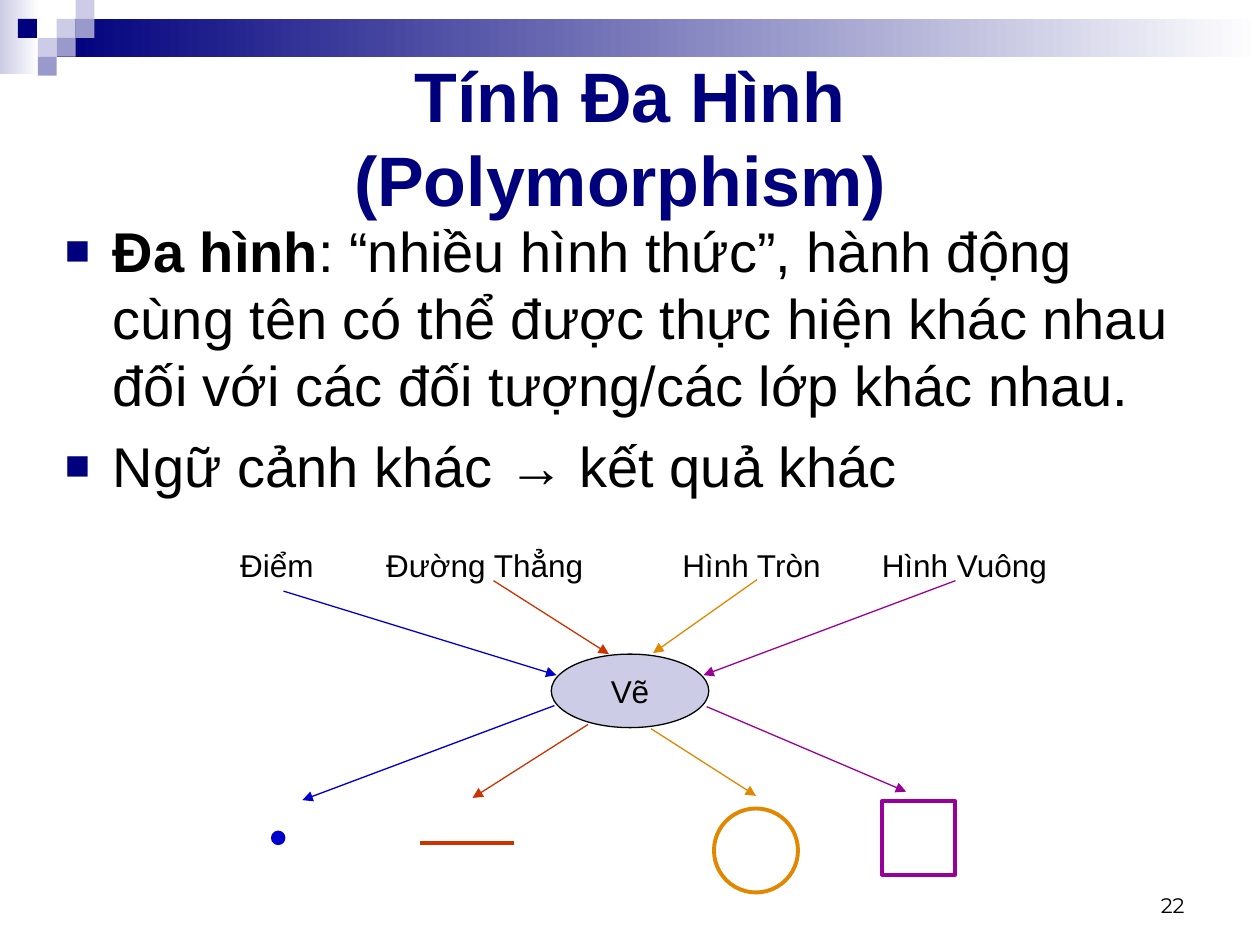
from lxml.etree import SubElement
from pptx import Presentation
from pptx.dml.color import RGBColor
from pptx.enum.shapes import MSO_CONNECTOR, MSO_SHAPE
from pptx.enum.text import MSO_ANCHOR, PP_ALIGN
from pptx.oxml.ns import qn
from pptx.util import Inches, Pt

COLORS = {
    "navy": "00007D", "mid": "9999CC", "pale": "CCCCE6", "white": "FFFFFF",
    "black": "000000", "blue": "0000CC", "red": "CC3300",
    "orange": "E28700", "purple": "990099",
}
COLS, ROWS = 120, 90
CELL = Inches(10) / COLS


def rgb(name):
    """Return the named palette colour."""
    return RGBColor.from_string(COLORS[name])


def cells(*values):
    """Turn grid cells into slide lengths."""
    return [round(v * CELL) for v in values]


def within(box, x, y):
    """Move a point from a box's own grid to the slide grid."""
    return box[0] + x, box[1] + y


def add_run(p, text, size, color="black", bold=False, font="Arial"):
    """Append one formatted run to a paragraph."""
    r = p.add_run()
    r.text = text
    r.font.name, r.font.size, r.font.bold = font, Pt(size), bold
    r.font.color.rgb = rgb(color)


def add_text(s, box, anchor=MSO_ANCHOR.TOP, align=PP_ALIGN.LEFT, wrap=True):
    """Add an empty text box and return its text frame."""
    tf = s.shapes.add_textbox(*cells(*box)).text_frame
    tf.word_wrap, tf.vertical_anchor = wrap, anchor
    tf.paragraphs[0].alignment = align
    return tf


def add_figure(s, kind, box, fill=None, line=None, width=2.25):
    """Add a flat preset shape with an optional fill and outline."""
    sp = s.shapes.add_shape(kind, *cells(*box))
    sp.shadow.inherit = False
    if fill:
        sp.fill.solid()
        sp.fill.fore_color.rgb = rgb(fill)
    else:
        sp.fill.background()
    if line:
        sp.line.color.rgb, sp.line.width = rgb(line), Pt(width)
    else:
        sp.line.fill.background()
    return sp


def add_line(s, start, end, color, width=0.75, arrow=True):
    """Add a straight line, with an arrowhead at its end if wanted."""
    ln = s.shapes.add_connector(MSO_CONNECTOR.STRAIGHT, *cells(*start, *end))
    ln.line.color.rgb, ln.line.width = rgb(color), Pt(width)
    if arrow:
        SubElement(ln.line._get_or_add_ln(), qn("a:tailEnd"), type="triangle")
    SubElement(ln._element.spPr, qn("a:effectLst"))


def add_header(s, box):
    """Draw the fading bars and the mosaic of tiles."""
    unit = box[3] / 4
    side = (*box[:2], 2.07 * unit, 3.9 * unit)
    bar = (*within(box, 3 * unit, unit), box[2] - 3 * unit, 2 * unit)
    for area, color in ((side, "pale"), (bar, "navy")):
        sp = add_figure(s, MSO_SHAPE.RECTANGLE, area)
        sp.fill.gradient()
        sp.fill.gradient_angle = 180
        for stop, name in zip(sp.fill.gradient_stops, ("white", color)):
            stop.color.rgb = rgb(name)
    tiles = [(3, 1, "pale"), (4, 0, "pale"), (4, 1, "mid"), (2, 2, "pale"),
             (0.95, 1, "navy"), (3, 2, "mid"), (2, 3, "mid")]
    for col, row, color in tiles:
        spot = within(box, col * unit, row * unit)
        add_figure(s, MSO_SHAPE.RECTANGLE, (*spot, unit, unit), color)


def add_title(s, box):
    """Write the two-line title."""
    p = add_text(s, box, MSO_ANCHOR.MIDDLE, PP_ALIGN.CENTER).paragraphs[0]
    add_run(p, "Tính Đa Hình", 40, "navy", True)
    p.add_line_break()
    add_run(p, "(Polymorphism) ", 40, "navy", True)


def add_body(s, box):
    """Write the bulleted definition."""
    tf = add_text(s, box)
    items = [
        [("Đa hình", True),
         (": “nhiều hình thức”, hành động cùng tên có thể được thực hiện "
          "khác nhau đối với các đối tượng/các lớp khác nhau.", False)],
        [("Ngữ cảnh khác → kết quả khác", False)],
    ]
    for i, runs in enumerate(items):
        p = tf.add_paragraph() if i else tf.paragraphs[0]
        pPr = p._p.get_or_add_pPr()
        pPr.set("marL", str(Inches(0.38)))
        pPr.set("indent", str(-Inches(0.38)))
        p.space_before = Pt(8 if i else 0)
        color = SubElement(pPr, qn("a:buClr"))
        SubElement(color, qn("a:srgbClr"), val=COLORS["navy"])
        SubElement(pPr, qn("a:buSzPct"), val="75000")
        SubElement(pPr, qn("a:buFont"), typeface="Arial")
        SubElement(pPr, qn("a:buChar"), char="■")
        for text, bold in runs:
            add_run(p, text, 32, bold=bold)


def add_diagram(s, box):
    """Draw four kinds of object passing through one action."""
    labels = [("Điểm", 0.7, 9.4), ("Đường Thẳng", 14.6, 21.2),
              ("Hình Tròn", 42.8, 15.7), ("Hình Vuông", 61.8, 18.2)]
    for text, x, w in labels:
        tf = add_text(s, (*within(box, x, 0.4), w, 4.8), wrap=False)
        add_run(tf.paragraphs[0], text, 18)

    sp = add_figure(s, MSO_SHAPE.OVAL, (*within(box, 31.5, 11.3), 15, 7),
                    "pale", "black", 0.75)
    tf = sp.text_frame
    tf.word_wrap, tf.vertical_anchor = False, MSO_ANCHOR.MIDDLE
    tf.paragraphs[0].alignment = PP_ALIGN.CENTER
    add_run(tf.paragraphs[0], "Vẽ", 18)

    arrows = [
        ("blue", (6, 5.3), (32, 13.3)), ("blue", (31.8, 16.2), (7.8, 25.2)),
        ("red", (26, 4.3), (37, 11.3)), ("red", (35, 18), (24, 25)),
        ("orange", (51.1, 4.2), (41.2, 11.2)),
        ("orange", (41, 18.4), (51, 24.8)),
        ("purple", (70, 4.3), (46, 13.3)),
        ("purple", (46.3, 16.3), (65.3, 24.4)),
    ]
    for color, start, end in arrows:
        add_line(s, within(box, *start), within(box, *end), color)

    results = [(MSO_SHAPE.OVAL, 5, 28.3, 1, "blue", "blue"),
               (MSO_SHAPE.OVAL, 47, 26, 8, None, "orange"),
               (MSO_SHAPE.RECTANGLE, 63, 25.3, 7, None, "purple")]
    for kind, x, y, size, fill, line in results:
        add_figure(s, kind, (*within(box, x, y), size, size), fill, line)
    add_line(s, within(box, 19, 29.3), within(box, 28, 29.3), "red", 2.25, False)


def add_number(s, box):
    """Write the slide number."""
    tf = add_text(s, box, MSO_ANCHOR.BOTTOM, PP_ALIGN.RIGHT)
    add_run(tf.paragraphs[0], "22", 12, font="Montserrat")


def main():
    """Build the slide and save it."""
    prs = Presentation()
    prs.slide_width, prs.slide_height = cells(COLS, ROWS)
    s = prs.slides.add_slide(prs.slide_layouts[6])
    add_header(s, (0, 0, COLS, 7.2))
    add_title(s, (6, 4, 108, 18))
    add_body(s, (5, 20, 111, 51))
    add_diagram(s, (21, 51, 81, 35))
    add_number(s, (86, 82, 28, 6))
    prs.save("out.pptx")


if __name__ == "__main__":
    main()
